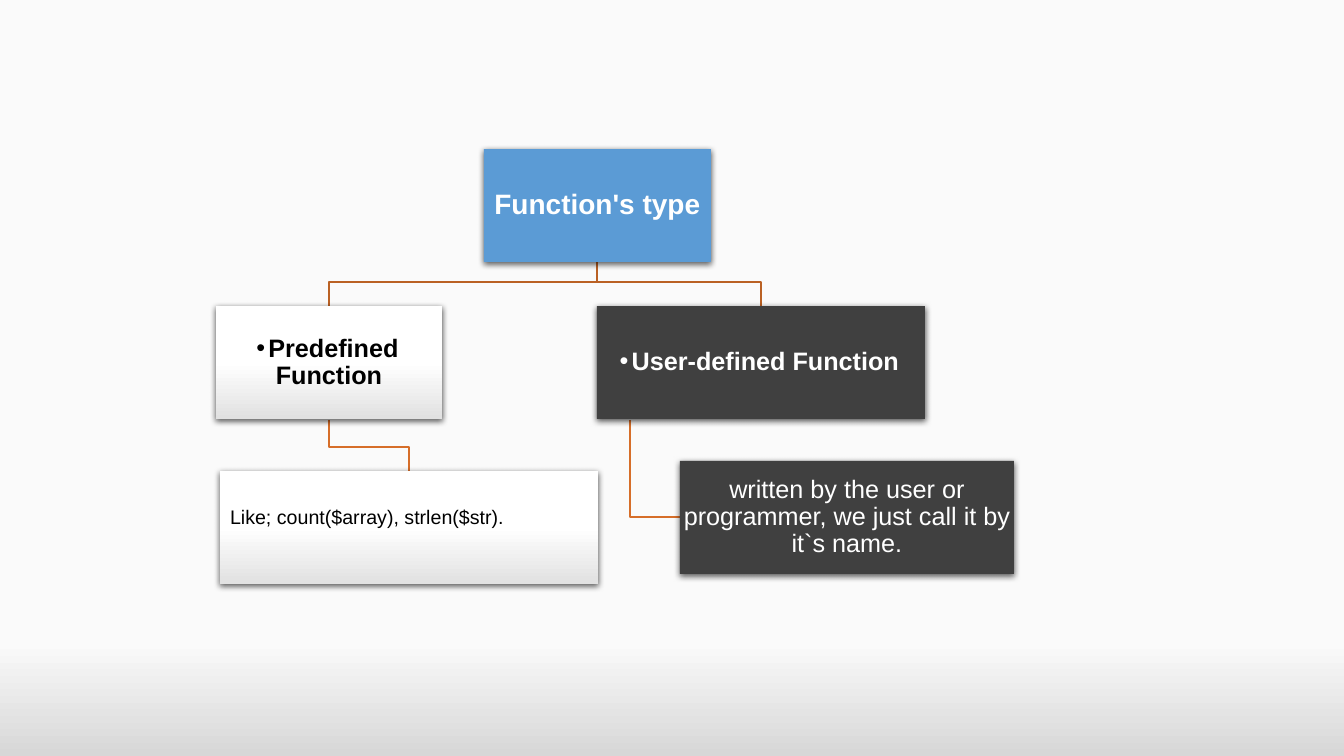
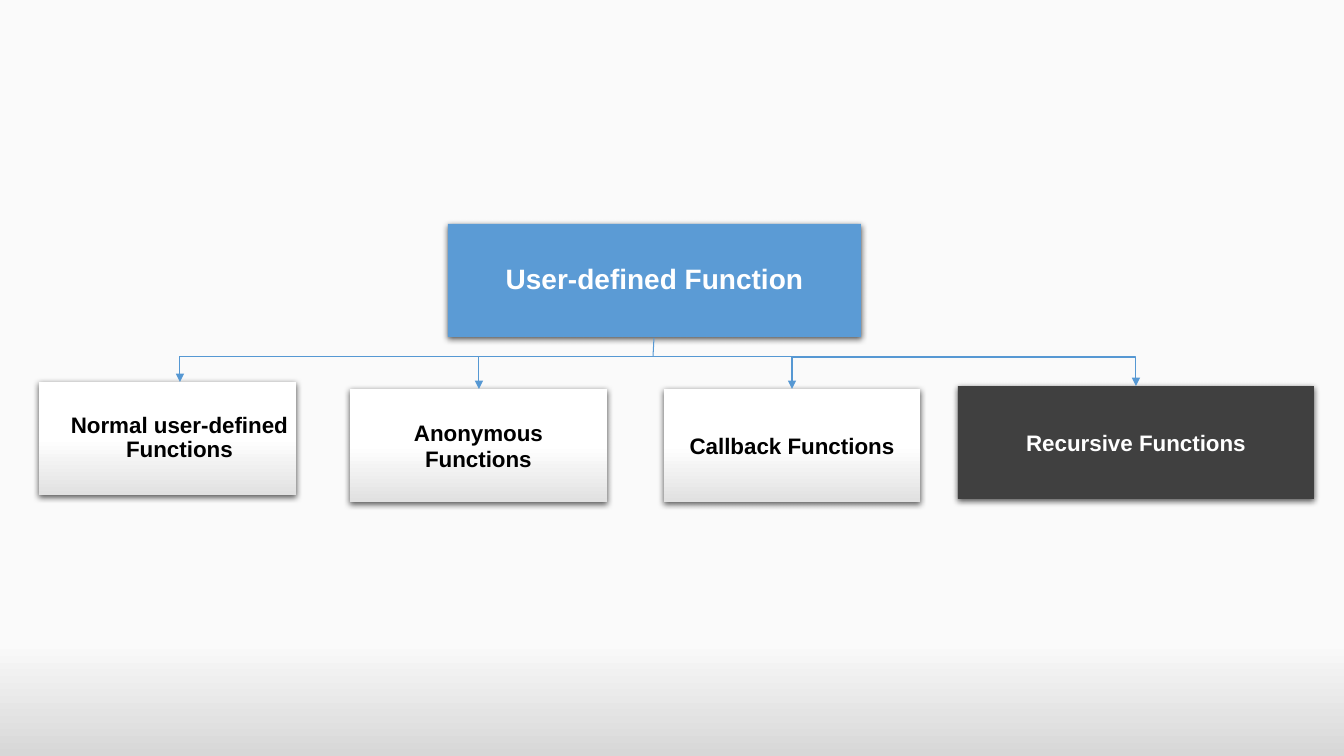
from lxml import etree
from pptx import Presentation
from pptx import util as u
from pptx.dml.color import RGBColor
from pptx.enum import shapes, text
from pptx.oxml import ns

PX = 12192000 / 1344
BOX_HEIGHT = 113
FONT = "Arial"
WHITE = RGBColor(0xFF, 0xFF, 0xFF)
BLACK = RGBColor(0x00, 0x00, 0x00)
BLUE = RGBColor(0x5B, 0x9B, 0xD5)
CHARCOAL = RGBColor(0x40, 0x40, 0x40)
SILVER = RGBColor(0xE1, 0xE1, 0xE1)
PAPER = RGBColor(0xFA, 0xFA, 0xFA)
PAPER_EDGE = RGBColor(0xD7, 0xD7, 0xD7)
ORANGE = RGBColor(0xD6, 0x6E, 0x29)
DARK_ORANGE = RGBColor(0xBA, 0x61, 0x24)
ARROW_BLUE = RGBColor(0x56, 0x98, 0xD3)
TIGHT = (1, 1, 1, 1)
ROOMY = (10, 10, 10, 10)
CENTER = text.PP_ALIGN.CENTER
LEFT = text.PP_ALIGN.LEFT
STRAIGHT = shapes.MSO_CONNECTOR.STRAIGHT
ELBOW = shapes.MSO_CONNECTOR.ELBOW


def set_gradient(fill, first, start, last):
    fill.gradient()
    fill.gradient_angle = 270
    for stop, color, position in zip(fill.gradient_stops, (first, last), (start, 1)):
        stop.color.rgb = color
        stop.position = position


def add_box(slide, left, top, width, color, words, size, bold=True,
            margins=TIGHT, spacing=0.9, align=CENTER, bullet=False):
    box = [round(value * PX) for value in (left, top, width, BOX_HEIGHT)]
    shape = slide.shapes.add_shape(shapes.MSO_SHAPE.RECTANGLE, *box)
    shape.line.fill.background()
    if color == WHITE:
        set_gradient(shape.fill, WHITE, 0.5, SILVER)
    else:
        shape.fill.solid()
        shape.fill.fore_color.rgb = color

    shape.shadow.inherit = False
    effects = shape._element.spPr.find(ns.qn("a:effectLst"))
    shadow = etree.SubElement(effects, ns.qn("a:outerShdw"), blurRad="57150",
                              dist="19050", dir="5400000", algn="ctr", rotWithShape="0")
    shadow_color = etree.SubElement(shadow, ns.qn("a:srgbClr"), val="000000")
    etree.SubElement(shadow_color, ns.qn("a:alpha"), val="63000")

    frame = shape.text_frame
    frame.word_wrap = True
    frame.vertical_anchor = text.MSO_ANCHOR.MIDDLE
    frame.margin_left, frame.margin_top, frame.margin_right, frame.margin_bottom = [
        round(margin * PX) for margin in margins]
    frame.text = words
    paragraph = frame.paragraphs[0]
    paragraph.alignment = align
    paragraph.line_spacing = spacing
    if bullet:
        properties = paragraph._p.get_or_add_pPr()
        properties.set("marL", "0")
        properties.set("indent", str(-round(12 * PX)))
        etree.SubElement(properties, ns.qn("a:buFont"), typeface=FONT)
        etree.SubElement(properties, ns.qn("a:buChar"), char="•")
    font = paragraph.runs[0].font
    font.name = FONT
    font.size = u.Pt(size)
    font.bold = bold
    font.color.rgb = BLACK if color == WHITE else WHITE


presentation = Presentation()
presentation.slide_width = round(1344 * PX)
presentation.slide_height = round(756 * PX)
set_gradient(presentation.slide_master.background.fill, PAPER, 0.85, PAPER_EDGE)
blank = presentation.slide_layouts[6]

types_slide = presentation.slides.add_slide(blank)
branches = [
    (ORANGE, [(630, 420), (630, 517), (680, 517)]),
    (DARK_ORANGE, [(597, 262), (597, 282), (761, 282), (761, 306)]),
    (ORANGE, [(329, 420), (329, 447), (409, 447), (409, 471)]),
    (DARK_ORANGE, [(597, 262), (597, 282), (329, 282), (329, 306)]),
]
for color, points in branches:
    builder = types_slide.shapes.build_freeform(*points[0], scale=PX)
    builder.add_line_segments(points[1:], close=False)
    branch = builder.convert_to_shape()
    branch.shadow.inherit = False
    branch.fill.background()
    branch.line.color.rgb = color
    branch.line.width = u.Pt(1)

add_box(types_slide, 484, 149, 227, BLUE, "Function's type", 20)
add_box(types_slide, 216, 306, 226, WHITE, "Predefined Function", 18, bullet=True)
add_box(types_slide, 220, 471, 378, WHITE, "Like; count($array), strlen($str).", 14,
        bold=False, margins=(10, 10, 10, 32), spacing=1.0, align=LEFT)
add_box(types_slide, 597, 306, 328, CHARCOAL, "User-defined Function", 18, bullet=True)
add_box(types_slide, 680, 461, 334, CHARCOAL,
        "written by the user or programmer, we just call it by it`s name.", 18, bold=False)

user_slide = presentation.slides.add_slide(blank)
add_box(user_slide, 448, 224, 413, BLUE, "User-defined Function", 20)
kinds = [
    (39, 382, 257, WHITE, "Normal user-defined Functions", (25, 1, 1, 1), 0.9, 641, 180),
    (350, 389, 257, WHITE, "Anonymous Functions", ROOMY, 1.0, 532, 479),
    (664, 389, 256, WHITE, "Callback Functions", ROOMY, 1.0, 619, 792),
    (958, 386, 356, CHARCOAL, "Recursive Functions", ROOMY, 1.0, 792, 1136),
]
bus_y = 357
links = [(STRAIGHT, 654, 338, 653, bus_y)]
for left, top, width, color, words, margins, spacing, start_x, arrow_x in kinds:
    add_box(user_slide, left, top, width, color, words, 16, margins=margins, spacing=spacing)
    links.append((ELBOW, start_x, bus_y, arrow_x, top))

for link_type, *ends in links:
    connector = user_slide.shapes.add_connector(
        link_type, *[round(value * PX) for value in ends])
    connector.line.color.rgb = ARROW_BLUE
    connector.line.width = u.Pt(0.75)
    properties = connector._element.spPr
    if link_type == ELBOW:
        properties.find(ns.qn("a:prstGeom")).set("prst", "bentConnector2")
        etree.SubElement(properties.find(ns.qn("a:ln")), ns.qn("a:tailEnd"), type="triangle")
    etree.SubElement(properties, ns.qn("a:effectLst"))

presentation.save("out.pptx")
